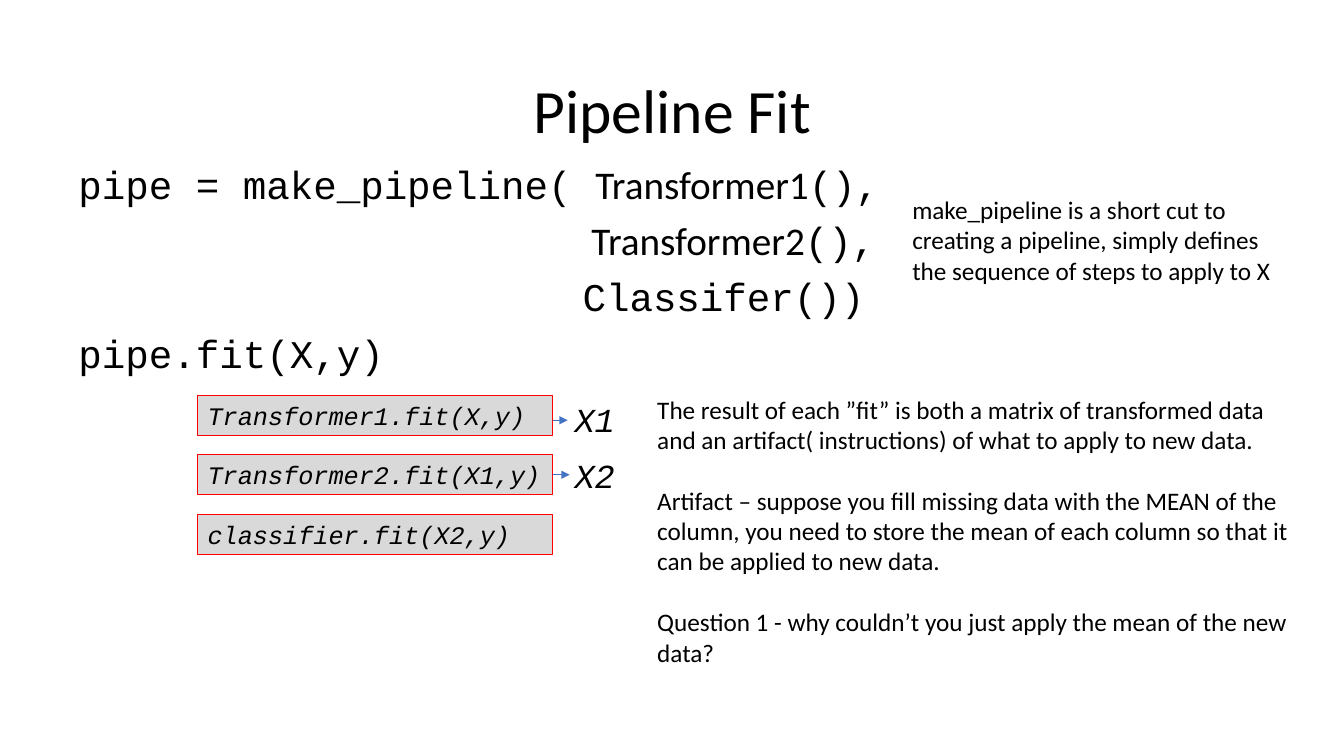
from dataclasses import dataclass

from lxml.etree import SubElement
from pptx import Presentation
from pptx.dml.color import RGBColor
from pptx.enum.shapes import MSO_CONNECTOR as Connector, MSO_SHAPE as ShapeType
from pptx.enum.text import MSO_ANCHOR as Anchor, PP_ALIGN as Align
from pptx.oxml.ns import qn
from pptx.util import Inches, Pt


@dataclass(frozen=True)
class Theme:
    text: RGBColor = RGBColor(0, 0, 0)
    step_fill: RGBColor = RGBColor(0xD9, 0xD9, 0xD9)
    step_line: RGBColor = RGBColor(0xFF, 0, 0)
    arrow: RGBColor = RGBColor(0x44, 0x72, 0xC4)
    prose: str = "Calibri"
    code: str = "Courier New"
    title_size: int = 44
    code_size: int = 28
    output_size: int = 24
    body_size: int = 18


THEME = Theme()
ARGUMENT_INDENT = 5
STEPS = ["Transformer1.fit(X,y)", "Transformer2.fit(X1,y)", "classifier.fit(X2,y)"]
OUTPUTS = ["X1", "X2"]
CODE_LINES = [
    (0, [("pipe = make_pipeline( ", THEME.code), ("Transformer1", THEME.prose), ("(),", THEME.code)]),
    (ARGUMENT_INDENT, [(" Transformer2", THEME.prose), ("(),", THEME.code)]),
    (ARGUMENT_INDENT, [("Classifer())", THEME.code)]),
    (0, [("pipe.fit(X,y)", THEME.code)]),
]
SHORTCUT_NOTE = [
    "make_pipeline is a short cut to creating a pipeline, simply defines "
    "the sequence of steps to apply to X",
]
FIT_NOTES = [
    "The result of each ”fit” is both a matrix of transformed data and an "
    "artifact( instructions) of what to apply to new data.",
    "Artifact – suppose you fill missing data with the MEAN of the column, you need to "
    "store the mean of each column so that it can be applied to new data.",
    "Question 1 - why couldn’t you just apply the mean of the new data?",
]


def set_font(font, name, size, italic=False):
    font.name = name
    font.size = Pt(size)
    font.italic = italic
    font.color.rgb = THEME.text


def add_title(slide, text):
    title = slide.shapes.title
    title.left, title.top = Inches(0.92), Inches(0.4)
    title.width, title.height = Inches(11.5), Inches(1.45)
    title.text_frame.text = text
    title.text_frame.vertical_anchor = Anchor.MIDDLE
    paragraph = title.text_frame.paragraphs[0]
    paragraph.alignment = Align.CENTER
    paragraph.line_spacing = 0.9
    set_font(paragraph.font, THEME.prose, THEME.title_size)


def add_text_frame(slide, left, top, width, height):
    box = slide.shapes.add_textbox(Inches(left), Inches(top), Inches(width), Inches(height))
    box.text_frame.word_wrap = True
    return box.text_frame


def add_paragraphs(frame, count):
    for _ in range(count - 1):
        frame.add_paragraph()
    return frame.paragraphs


def add_code(slide, lines):
    frame = add_text_frame(slide, 0.68, 1.59, 11.5, 2.54)
    for paragraph, (indent, pieces) in zip(add_paragraphs(frame, len(lines)), lines):
        paragraph.line_spacing = 0.9
        paragraph.space_before = Pt(10)
        properties = paragraph._p.get_or_add_pPr()
        properties.set("marL", str(Inches(indent)))
        properties.set("indent", "0")
        for text, font_name in pieces:
            run = paragraph.add_run()
            run.text = text
            set_font(run.font, font_name, THEME.code_size)


def add_note(slide, texts, left, top, width, height):
    frame = add_text_frame(slide, left, top, width, height)
    for index, paragraph in enumerate(add_paragraphs(frame, len(texts))):
        paragraph.text = texts[index]
        paragraph.space_before = Pt(22 if index else 0)
        set_font(paragraph.font, THEME.prose, THEME.body_size)


def add_output(slide, text, top):
    frame = add_text_frame(slide, 5.6, top, 0.69, 0.5)
    frame.text = text
    set_font(frame.paragraphs[0].font, THEME.code, THEME.output_size, italic=True)


def add_arrow(slide, left, y):
    arrow = slide.shapes.add_connector(
        Connector.STRAIGHT, Inches(left), Inches(y), Inches(left + 1.55), Inches(y))
    arrow.line.color.rgb = THEME.arrow
    arrow.line.width = Pt(0.5)
    SubElement(arrow.line._get_or_add_ln(), qn("a:tailEnd"), type="triangle")
    SubElement(arrow._element.spPr, qn("a:effectLst"))


def add_step(slide, text, top):
    step = slide.shapes.add_shape(
        ShapeType.RECTANGLE, Inches(1.96), Inches(top), Inches(3.52), Inches(0.4))
    step.shadow.inherit = False
    step.fill.solid()
    step.fill.fore_color.rgb = THEME.step_fill
    step.line.color.rgb = THEME.step_line
    step.line.width = Pt(0.75)
    step.text_frame.word_wrap = True
    step.text_frame.vertical_anchor = Anchor.TOP
    step.text_frame.text = text
    paragraph = step.text_frame.paragraphs[0]
    paragraph.alignment = Align.LEFT
    set_font(paragraph.font, THEME.code, THEME.body_size, italic=True)


def main():
    presentation = Presentation()
    presentation.slide_width = Inches(13.33)
    presentation.slide_height = Inches(7.5)
    slide = presentation.slides.add_slide(presentation.slide_layouts[5])

    add_title(slide, "Pipeline Fit")
    add_code(slide, CODE_LINES)
    for index, output in enumerate(OUTPUTS):
        add_output(slide, output, 3.91 + 0.55 * index)
        add_arrow(slide, 4.08 + 0.02 * index, 4.17 + 0.54 * index)
    for index, step in enumerate(STEPS):
        add_step(slide, step, 3.92 + 0.59 * index)
    add_note(slide, SHORTCUT_NOTE, 8.95, 1.88, 3.86, 1.01)
    add_note(slide, FIT_NOTES, 6.42, 3.86, 6.55, 2.83)

    presentation.save("out.pptx")


main()
